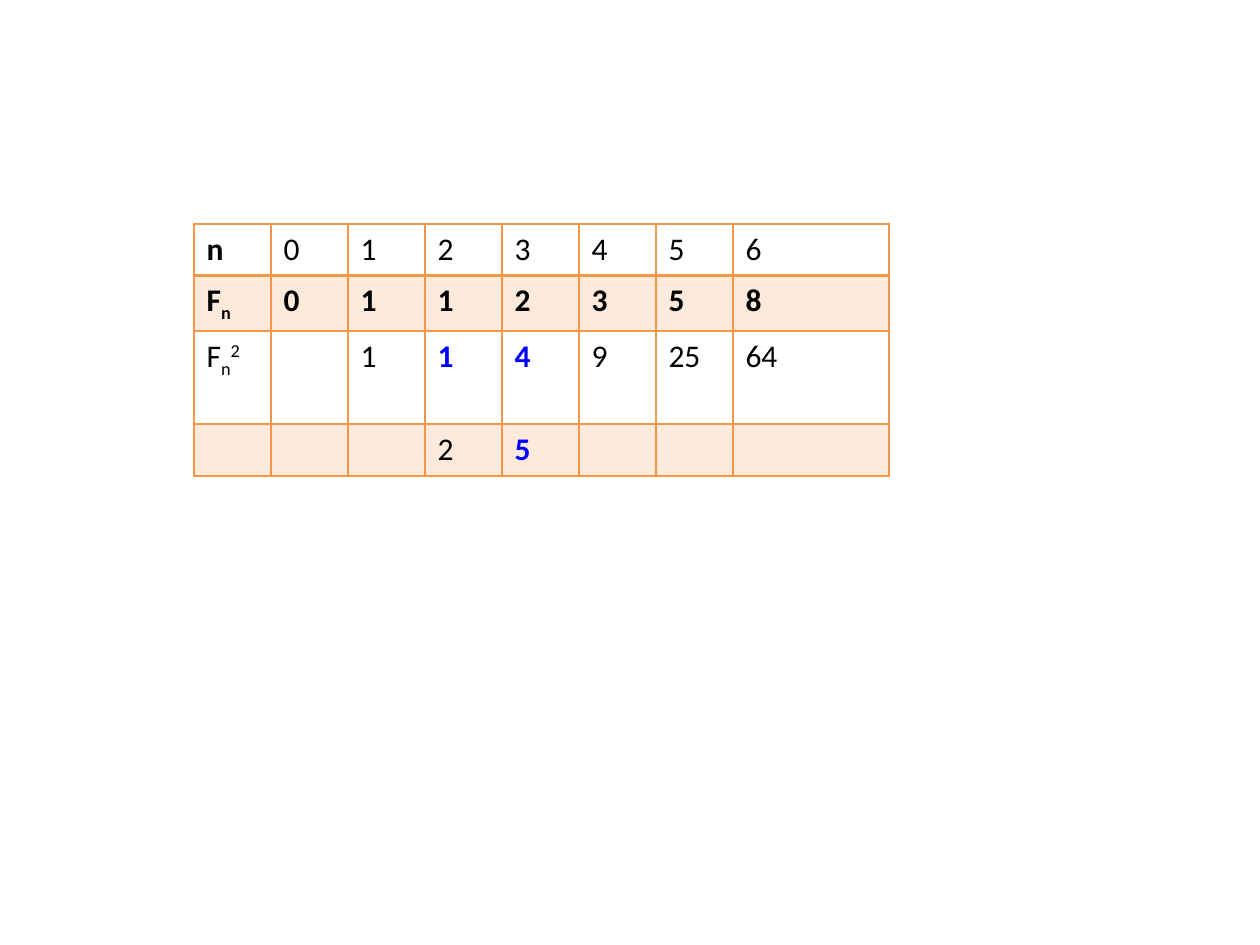
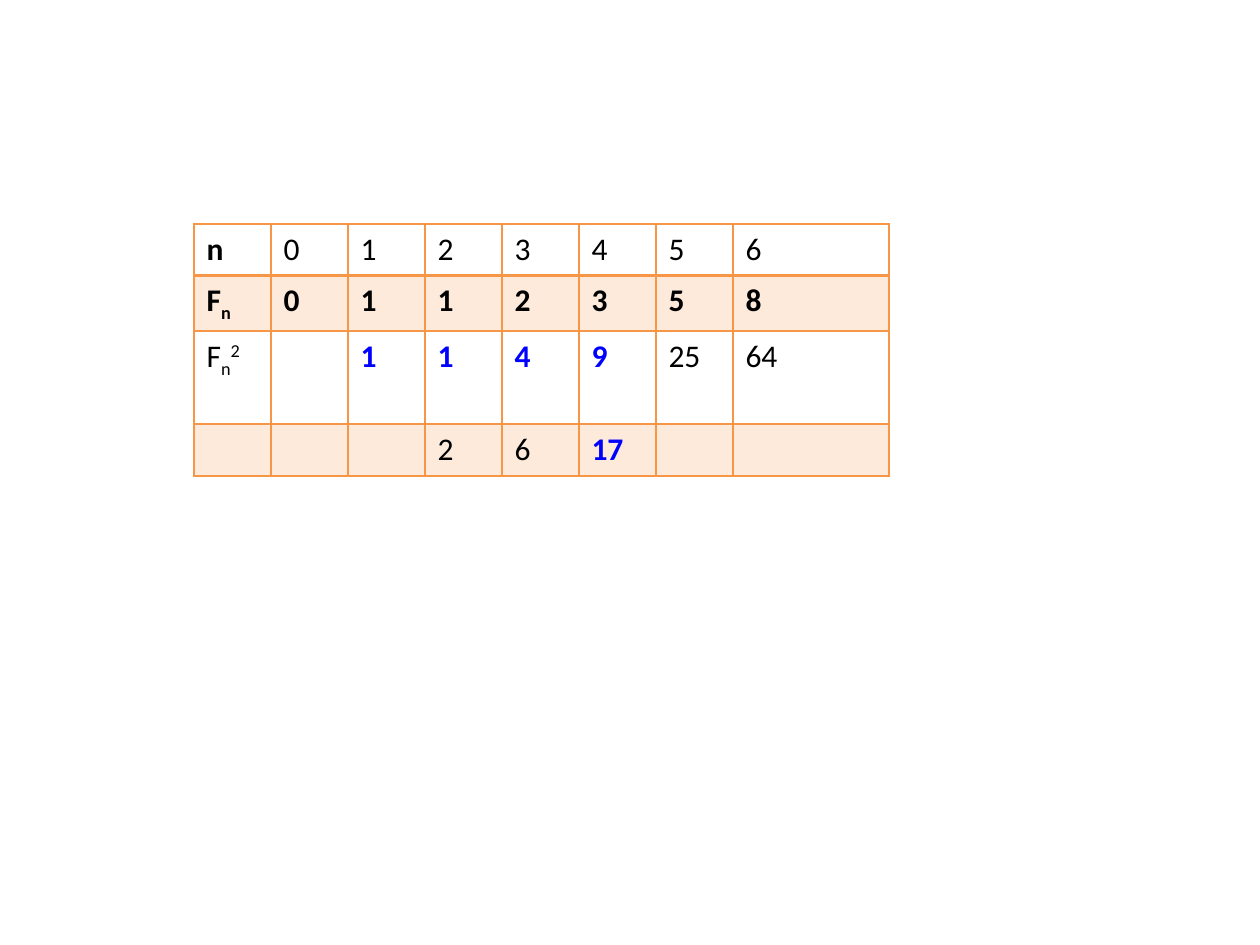
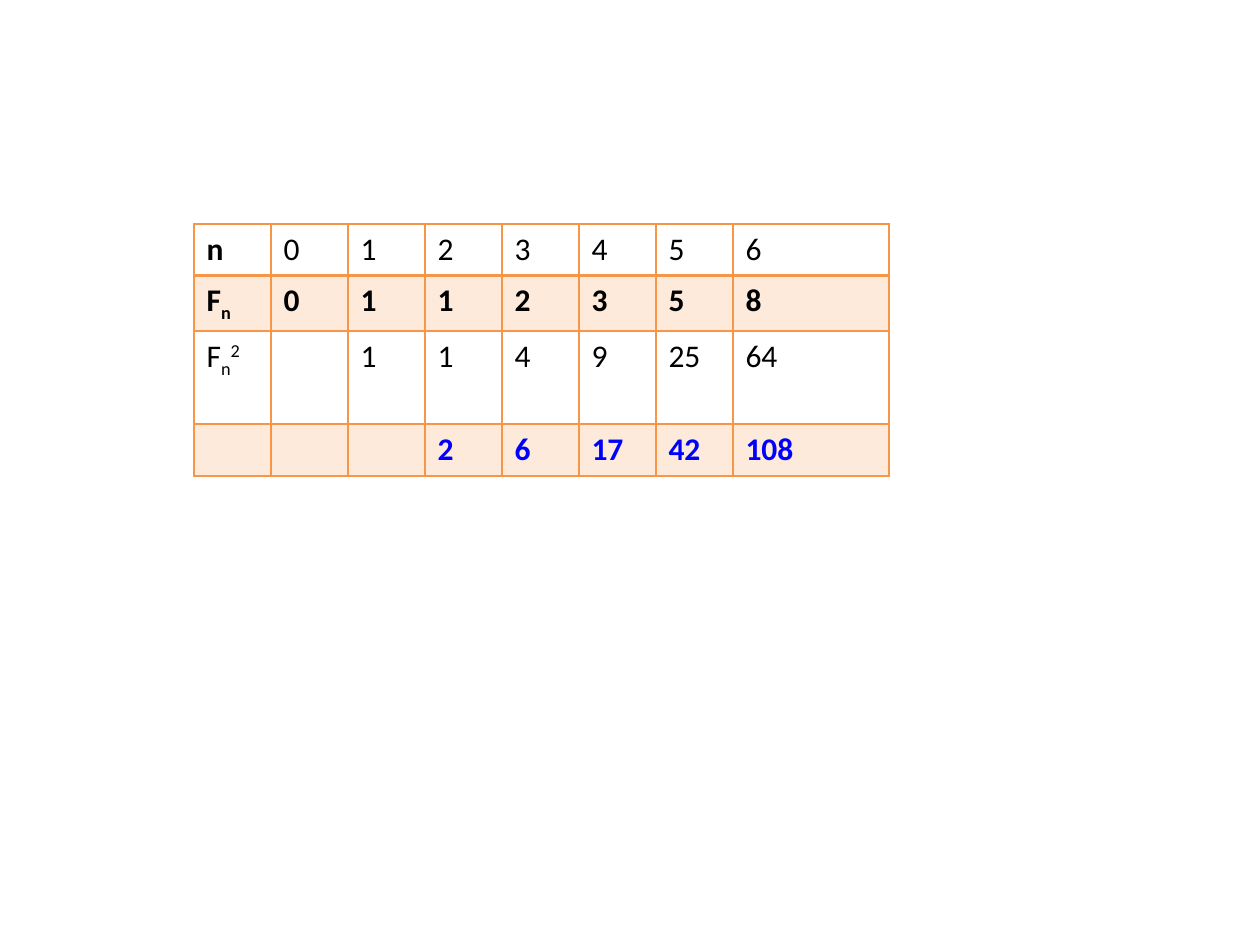
from dataclasses import dataclass

from lxml.etree import SubElement
from pptx import Presentation
from pptx.dml.color import RGBColor
from pptx.oxml.ns import qn
from pptx.util import Emu, Pt

PX = 914400 / 126


def px(n):
    return Emu(round(n * PX))


@dataclass(frozen=True)
class Theme:
    font: str = "Calibri"
    size: int = 18
    text: str = "000000"
    highlight: str = "0000FF"
    accent: str = "F79646"
    band_alpha: int = 20
    line: int = 1
    header_line: int = 2


SUB, SUP = -25, 30
FIB = [0, 1, 1, 2, 3, 5, 8]
COL_WIDTHS = [77] * 7 + [156]
ROW_HEIGHTS = [51, 56, 93, 52]
FN_ROW, SQUARE_ROW, SUM_ROW = 1, 2, 3

# Sums by n, then the highlighted (row, n) cells of each slide
STEPS = [
    ({2: 2, 3: 5},
     {(SQUARE_ROW, 2), (SQUARE_ROW, 3), (SUM_ROW, 3)}),
    ({2: 2, 3: 6, 4: 17},
     {(SQUARE_ROW, n) for n in range(1, 5)} | {(SUM_ROW, 4)}),
    ({2: 2, 3: 6, 4: 17, 5: 42, 6: 108},
     {(SUM_ROW, n) for n in range(2, 7)}),
]


class Deck:
    def __init__(self, theme):
        self.theme = theme
        self.prs = Presentation()
        self.prs.slide_width, self.prs.slide_height = px(1260), px(945)
        self.slide = None

    def new_slide(self):
        self.slide = self.prs.slides.add_slide(self.prs.slide_layouts[6])

    def borders(self, cell, **widths):
        """Draw the sides L, R, T and B with the given widths in points."""
        tcPr = cell._tc.get_or_add_tcPr()
        for side, width in widths.items():
            ln = SubElement(tcPr, qn(f"a:ln{side}"), w=str(Pt(width)))
            fill = SubElement(ln, qn("a:solidFill"))
            SubElement(fill, qn("a:srgbClr"), val=self.theme.accent)

    def band(self, cell):
        cell.fill.solid()
        cell.fill.fore_color.rgb = RGBColor.from_string(self.theme.accent)
        color = cell._tc.tcPr.find(qn("a:solidFill")).find(qn("a:srgbClr"))
        SubElement(color, qn("a:alpha"), val=str(self.theme.band_alpha * 1000))

    def text(self, cell, runs, bold, color):
        """Write (text, baseline percent) runs into a cell."""
        p = cell.text_frame.paragraphs[0]
        p.font.name, p.font.size = self.theme.font, Pt(self.theme.size)
        p.font.bold = bold
        p.font.color.rgb = RGBColor.from_string(color)
        for text, baseline in runs:
            r = p.add_run()
            r.text = text
            if baseline:
                r._r.get_or_add_rPr().set("baseline", str(baseline * 1000))

    def table(self, x, y, rows, highlights):
        t = self.theme
        table = self.slide.shapes.add_table(
            len(rows), len(COL_WIDTHS), px(x), px(y),
            px(sum(COL_WIDTHS)), px(sum(ROW_HEIGHTS))).table
        table.first_row = table.horz_banding = False
        for col, width in zip(table.columns, COL_WIDTHS):
            col.width = px(width)
        for i, (row, height) in enumerate(zip(rows, ROW_HEIGHTS)):
            table.rows[i].height = px(height)
            for j, runs in enumerate(row):
                cell = table.cell(i, j)
                self.borders(cell, L=t.line, R=t.line,
                             T=t.header_line if i == 1 else t.line,
                             B=t.header_line if i == 0 else t.line)
                if i % 2:
                    self.band(cell)
                else:
                    cell.fill.background()
                marked = (i, j - 1) in highlights
                self.text(cell, runs,
                          bold=marked or i == FN_ROW or i == j == 0,
                          color=t.highlight if marked else t.text)


def plain(values):
    """Turn values into cells of one run each; None leaves a cell empty."""
    return [[] if v is None else [(str(v), 0)] for v in values]


def fibonacci_rows(sums):
    return [
        plain(["n", *range(len(FIB))]),
        [[("F", 0), ("n", SUB)], *plain(FIB)],
        [[("F", 0), ("n", SUB), ("2", SUP)],
         *plain([None] + [f * f for f in FIB[1:]])],
        plain([None] + [sums.get(n) for n in range(len(FIB))]),
    ]


def main():
    deck = Deck(Theme())
    for sums, highlights in STEPS:
        deck.new_slide()
        deck.table(194, 224, fibonacci_rows(sums), highlights)
    deck.prs.save("out.pptx")


if __name__ == "__main__":
    main()
